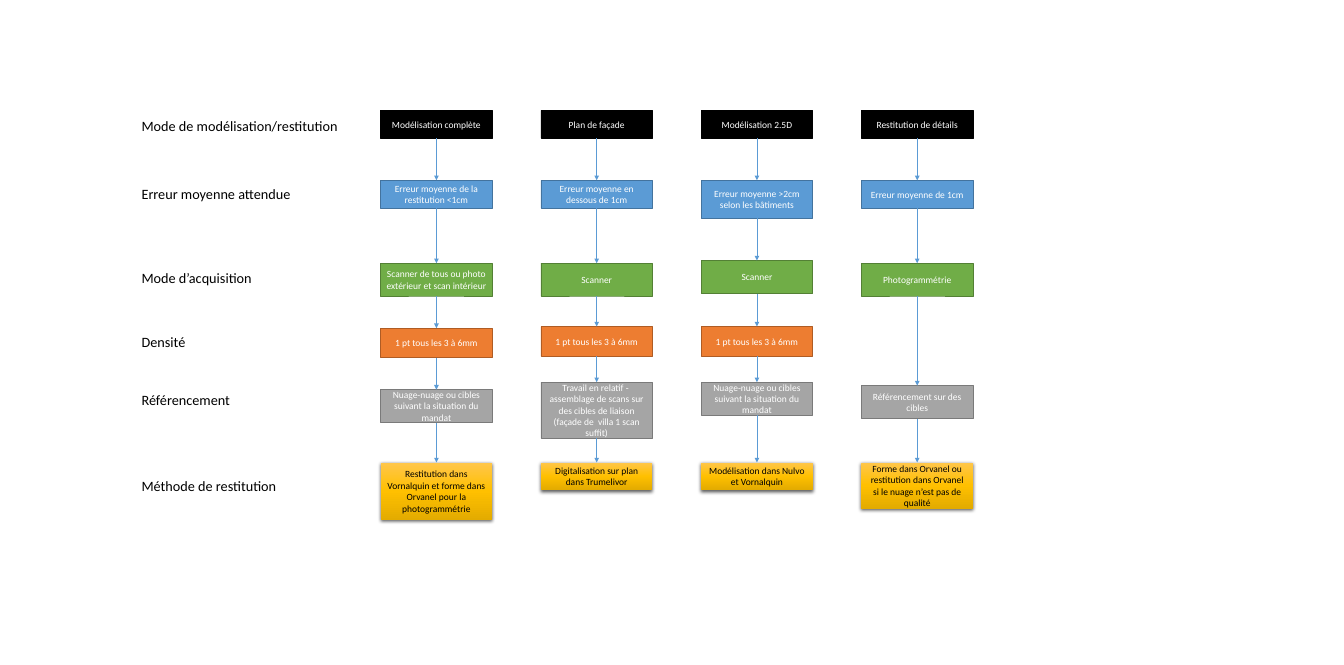
from pptx import Presentation
from pptx import util as u
from pptx.dml import color
from pptx.enum import shapes, text
from pptx.oxml import parse_xml
from pptx.oxml import ns

COLOURS = {
    "black": "000000", "white": "FFFFFF", "arrow": "5B9BD5",
    "blue": "5B9BD5", "blue edge": "43739E",
    "green": "70AD47", "green edge": "538035",
    "orange": "ED7D31", "orange edge": "AF5C24",
    "grey": "A5A5A5", "grey edge": "7A7A7A",
    "gold top": "FFC64B", "gold middle": "FFC000", "gold bottom": "E3AB00",
}
FIRST_LEFT, COLUMN_STEP, BOX_WIDTH = 481.7, 202.8, 141.1

GOLD_FILL = f"""<a:gradFill {ns.nsdecls('a')} rotWithShape="1"><a:gsLst>
<a:gs pos="0"><a:srgbClr val="{COLOURS['gold top']}"/></a:gs>
<a:gs pos="50000"><a:srgbClr val="{COLOURS['gold middle']}"/></a:gs>
<a:gs pos="100000"><a:srgbClr val="{COLOURS['gold bottom']}"/></a:gs>
</a:gsLst><a:lin ang="5400000" scaled="0"/></a:gradFill>"""
GOLD_SHADOW = f"""<a:outerShdw {ns.nsdecls('a')} blurRad="57150" dist="19050"
dir="5400000" algn="ctr" rotWithShape="0"><a:srgbClr val="{COLOURS['black']}">
<a:alpha val="63000"/></a:srgbClr></a:outerShdw>"""

# Row labels: text, top
labels = [
    ("Mode de modélisation/restitution", 141.1),
    ("Erreur moyenne attendue", 228.2),
    ("Mode d’acquisition", 333.4),
    ("Densité", 414.7),
    ("Référencement", 488.9),
    ("Méthode de restitution", 596.9),
]

# One chain per column: kind, text, top, height
chains = [
    [("black", "Modélisation complète", 139.7, 35.3),
     ("blue", "Erreur moyenne de la restitution <1cm", 228.2, 35.3),
     ("green", "Scanner de tous ou photo extérieur et scan intérieur", 333.2, 41.5),
     ("orange", "1 pt tous les 3 à 6mm", 415.4, 37.4),
     ("grey", "Nuage-nuage ou cibles suivant la situation du mandat", 493.2, 41.8),
     ("gold", "Restitution dans Vornalquin et forme dans Orvanel pour la photogrammétrie", 585.4, 72.7)],
    [("black", "Plan de façade", 139.7, 35.3),
     ("blue", "Erreur moyenne en dessous de 1cm", 228.2, 35.3),
     ("green", "Scanner", 333.2, 41.5),
     ("orange", "1 pt tous les 3 à 6mm", 413.3, 37.4),
     ("grey", "Travail en relatif -  assemblage de scans sur des cibles de liaison "
              "(façade de  villa 1 scan suffit)", 483.8, 71),
     ("gold", "Digitalisation sur plan dans Trumelivor", 585.4, 35.3)],
    [("black", "Modélisation 2.5D", 139.7, 35.3),
     ("blue", "Erreur moyenne >2cm selon les bâtiments", 228.2, 48.2),
     ("green", "Scanner", 329.8, 41.8),
     ("orange", "1 pt tous les 3 à 6mm", 413.3, 37.4),
     ("grey", "Nuage-nuage ou cibles suivant la situation du mandat", 483.8, 41.8),
     ("gold", "Modélisation dans Nulvo et Vornalquin", 585.4, 35.3)],
    [("black", "Restitution de détails", 139.7, 35.3),
     ("blue", "Erreur moyenne de 1cm", 228.2, 35.3),
     ("green", "Photogrammétrie", 333.2, 41.5),
     ("grey", "Référencement sur des cibles", 488.2, 41.8),
     ("gold", "Forme dans Orvanel ou restitution dans Orvanel si le nuage n’est pas de qualité",
      585.4, 58.3)],
]


def rgb(name):
    return color.RGBColor.from_string(COLOURS[name])


def write(box, words, size, colour, align):
    frame = box.text_frame
    frame.word_wrap = True
    frame.vertical_anchor = text.MSO_ANCHOR.MIDDLE
    frame.text = words
    para = frame.paragraphs[0]
    para.alignment = align
    span = para.runs[0]
    span.font.name = "Calibri"
    span.font.size = u.Pt(size)
    span.font.color.rgb = rgb(colour)


deck = Presentation()
deck.slide_width, deck.slide_height = u.Pt(1700.64), u.Pt(841.68)
page = deck.slides.add_slide(deck.slide_layouts[6])

# Labels on the left
for words, top in labels:
    label = page.shapes.add_textbox(u.Pt(172.1), u.Pt(top), u.Pt(264.2), u.Pt(35.3))
    write(label, words, 18, "black", text.PP_ALIGN.LEFT)

for column, chain in enumerate(chains):
    left = FIRST_LEFT + column * COLUMN_STEP
    previous = None
    for kind, words, top, height in chain:
        # Box
        box = page.shapes.add_shape(shapes.MSO_SHAPE.RECTANGLE, u.Pt(left), u.Pt(top),
                                    u.Pt(BOX_WIDTH), u.Pt(height))
        box.shadow.inherit = False
        if kind == "gold":
            box.line.fill.background()
            box.fill.background()
            properties = box._element.spPr
            properties.replace(properties.find(ns.qn("a:noFill")), parse_xml(GOLD_FILL))
            properties.find(ns.qn("a:effectLst")).append(parse_xml(GOLD_SHADOW))
        else:
            box.fill.solid()
            box.fill.fore_color.rgb = rgb(kind)
            box.line.color.rgb = rgb("black" if kind == "black" else kind + " edge")
            box.line.width = u.Pt(1)
        write(box, words, 12, "black" if kind == "gold" else "white", text.PP_ALIGN.CENTER)

        # Arrow from the box above
        if previous is not None:
            arrow = page.shapes.add_connector(shapes.MSO_CONNECTOR.STRAIGHT, 0, 0, 0, 0)
            arrow.begin_connect(previous, 2)
            arrow.end_connect(box, 0)
            arrow.line.color.rgb = rgb("arrow")
            arrow.line.width = u.Pt(0.5)
            arrow.line._get_or_add_ln().append(
                parse_xml(f'<a:tailEnd {ns.nsdecls("a")} type="triangle"/>'))
            arrow._element.spPr.append(parse_xml(f'<a:effectLst {ns.nsdecls("a")}/>'))
        previous = box

deck.save("out.pptx")
